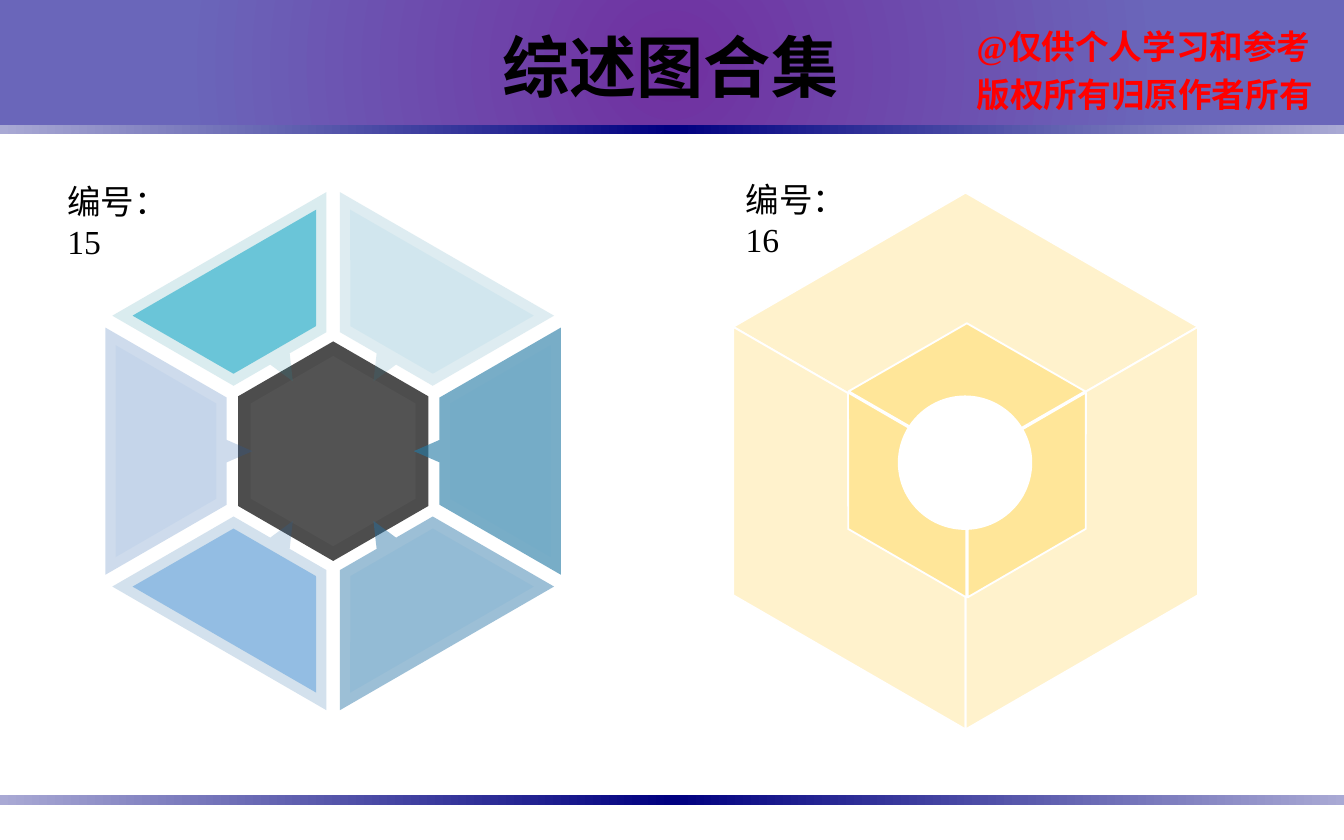
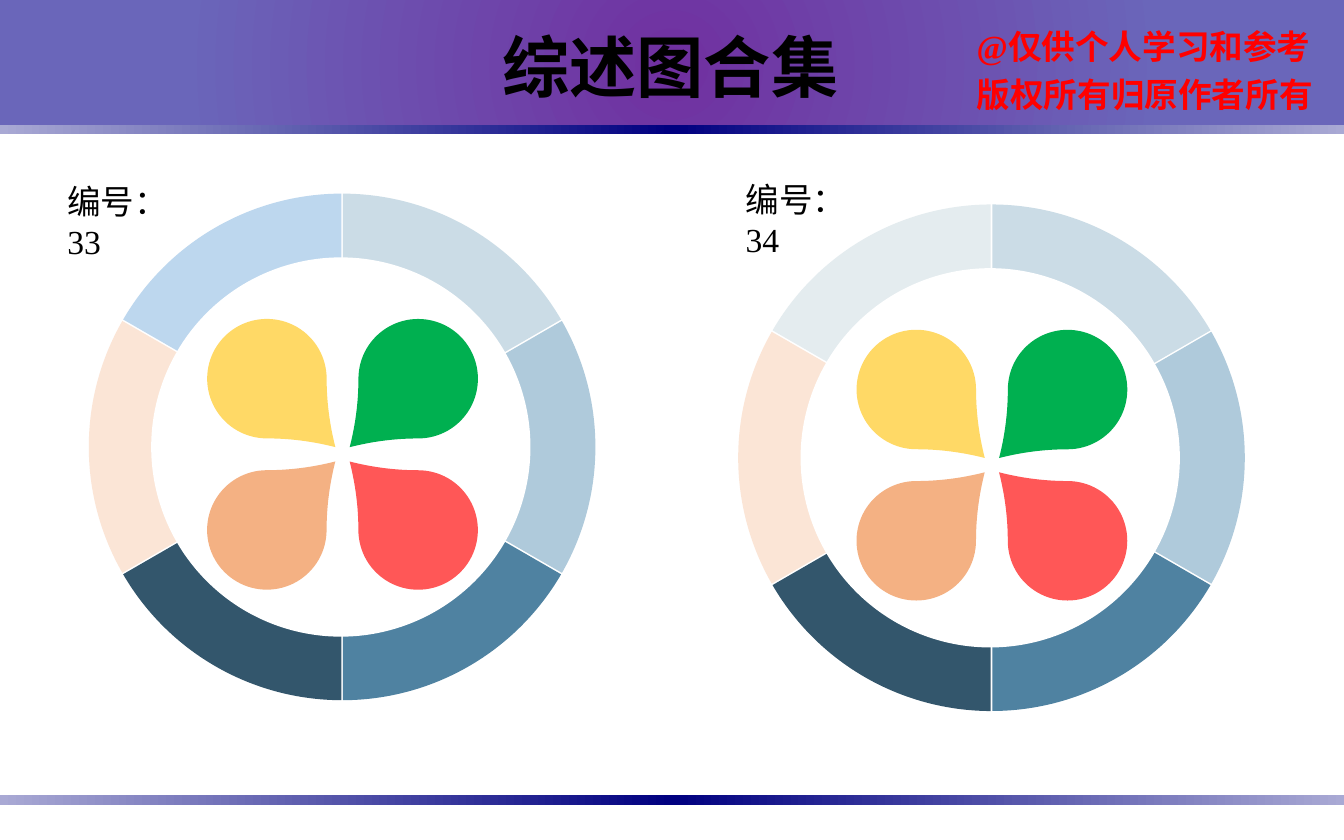
from dataclasses import dataclass
from math import asin, cos, degrees, radians, sin, tan

from lxml.etree import SubElement
from pptx import Presentation
from pptx.dml.color import RGBColor
from pptx.enum.shapes import MSO_SHAPE
from pptx.enum.text import MSO_AUTO_SIZE, PP_ALIGN
from pptx.oxml.ns import qn
from pptx.util import Pt


@dataclass(frozen=True)
class Theme:
    serif: str = "Times New Roman"
    sans: str = "Arial"
    title: int = 36
    body: int = 18
    black: str = "000000"
    white: str = "FFFFFF"
    red: str = "FF0000"
    head: tuple = ((0, "7030A0"), (73, "6A66BA"))
    band: tuple = ((0, "A9A9D4"), (50, "000080"), (100, "A9A9D4"))
    core: tuple = (("2B2B2B", 84), ("808080", 12))
    # Outer and inset colour with opacity, clockwise from the right
    panels: tuple = (
        (("267BA5", 62), ("3DA1D2", 4)),
        (("2572A5", 45), ("3B96D3", 9)),
        (("2369A7", 20), ("398BD5", 41)),
        (("225FA9", 22), ("3780D7", 6)),
        (("298FA4", 17), ("41B7D0", 73)),
        (("2885A3", 15), ("3FACD0", 8)),
    )
    cube: tuple = ("FFF2CC", "FFE699")
    ring: tuple = ("CBDCE6", "AFCADB", "4F82A1", "33566C", "FBE5D6")
    last: tuple = ("BDD7EE", "E4ECEF")
    petals: tuple = ("F4B183", "FFD966", "00B050", "FF5757")


@dataclass(frozen=True)
class Box:
    x: float
    y: float
    w: float
    h: float

    @property
    def mid(self):
        return self.x + self.w / 2, self.y + self.h / 2

    def emu(self):
        return [Pt(v) for v in (self.x, self.y, self.w, self.h)]


THEME = Theme()
PAGE = Box(0, 0, 720, 450)


def around(x, y, w, h):
    """Box of the given size centred on a point."""
    return Box(x - w / 2, y - h / 2, w, h)


def polar(r, angle):
    return r * cos(radians(angle)), r * sin(radians(angle))


def turn(points, angle):
    c, s = cos(radians(angle)), sin(radians(angle))
    return [(x * c - y * s, x * s + y * c) for x, y in points]


def finish(shape, edge=None):
    shape.shadow.inherit = False
    if edge:
        shape.line.color.rgb = RGBColor.from_string(edge)
        shape.line.width = Pt(1)
    else:
        shape.line.fill.background()


def paint(shape, color, alpha=100, edge=None):
    shape.fill.solid()
    shape.fill.fore_color.rgb = RGBColor.from_string(color)
    if alpha < 100:
        tone = shape.element.spPr.find(".//" + qn("a:srgbClr"))
        SubElement(tone, qn("a:alpha"), val=str(alpha * 1000))
    finish(shape, edge)


def blend(shape, stops, round_=False):
    """Fill with a gradient, from the centre outward if round_."""
    grad = SubElement(shape.element.spPr, qn("a:gradFill"), rotWithShape="1")
    items = SubElement(grad, qn("a:gsLst"))
    for pos, color in stops:
        stop = SubElement(items, qn("a:gs"), pos=str(pos * 1000))
        SubElement(stop, qn("a:srgbClr"), val=color)
    if round_:
        way = SubElement(grad, qn("a:path"), {"path": "circle"})
        SubElement(way, qn("a:fillToRect"), {k: "50000" for k in "ltrb"})
    else:
        SubElement(grad, qn("a:lin"), ang="0", scaled="1")
    finish(shape)


def preset(slide, kind, box, color, edge=None, angle=0):
    shape = slide.shapes.add_shape(kind, *box.emu())
    shape.rotation = angle
    paint(shape, color, edge=edge)
    return shape


def outline(slide, mid, points, color, alpha=100):
    """Closed shape from points given relative to mid."""
    spots = [(Pt(mid[0] + x), Pt(mid[1] + y)) for x, y in points]
    pen = slide.shapes.build_freeform(*spots[0], scale=1.0)
    pen.add_line_segments(spots[1:], close=True)
    shape = pen.convert_to_shape()
    paint(shape, color, alpha)
    return shape


def write(slide, box, lines, font, size, color, bold=False, wrap=False):
    """Text box; each line is its text, alignment and line spacing."""
    frame = slide.shapes.add_textbox(*box.emu()).text_frame
    frame.word_wrap = wrap
    frame.auto_size = MSO_AUTO_SIZE.NONE if wrap else MSO_AUTO_SIZE.SHAPE_TO_FIT_TEXT
    for i, (text, align, space) in enumerate(lines):
        para = frame.add_paragraph() if i else frame.paragraphs[0]
        para.alignment = align
        para.line_spacing = space
        run = para.add_run()
        run.text = text
        run.font.name = font
        run.font.size = Pt(size)
        run.font.bold = bold
        run.font.color.rgb = RGBColor.from_string(color)
    return frame


def base(slide, box):
    """Header, notice and the two bands."""
    head = Box(box.x, box.y - 0.6, box.w, 71)
    shape = slide.shapes.add_shape(MSO_SHAPE.RECTANGLE, *head.emu())
    blend(shape, THEME.head, True)
    notice = [("@仅供个人学习和参考", PP_ALIGN.LEFT, 1.2),
              ("版权所有归原作者所有", PP_ALIGN.CENTER, 1.2)]
    write(slide, Box(box.x + 516.2, box.y + 5.8, 198.7, 57), notice,
          THEME.serif, THEME.body, THEME.red, True)
    for y in (66.8, 426):
        band = Box(box.x, box.y + y, box.w, 5.2)
        shape = slide.shapes.add_shape(MSO_SHAPE.RECTANGLE, *band.emu())
        blend(shape, THEME.band)


def title(slide, box):
    write(slide, box, [("综述图合集", PP_ALIGN.LEFT, 1.0)],
          THEME.sans, THEME.title, THEME.black, True)


def label(slide, box, number):
    """Caption whose number falls on the second line."""
    frame = write(slide, box, [(f"编号：{number}", PP_ALIGN.LEFT, 1.0)],
                  THEME.serif, THEME.body, THEME.black, wrap=True)
    frame.margin_right = Pt(21)


def wheel(slide, box):
    """Dark hexagon with six panels around it."""
    for (color, alpha), size in zip(THEME.core, (58.8, 51)):
        hexagon = [polar(size, 60 * i - 90) for i in range(6)]
        outline(slide, box.mid, hexagon, color, alpha)
    outer = [(122, -66.2), (122, 66.2), (57, 28.7), (57, 6),
             (43.2, 0), (57, -6), (57, -28.7)]
    inset = [(116.6, -56.8), (116.6, 56.8), (62.6, 25.5), (62.6, -25.5)]
    for i, pair in enumerate(THEME.panels):
        for points, (color, alpha) in zip((outer, inset), pair):
            outline(slide, box.mid, turn(points, 60 * i), color, alpha)


def cube(slide, box):
    """Two nested cubes of three diamonds each, with a round hole."""
    x, y = box.mid
    high = box.w / 3 ** 0.5
    sizes = ((box.w, high, 0, high / 2), (126.7, 72.9, 0.7, 37))
    for color, (w, h, shift, reach) in zip(THEME.cube, sizes):
        for angle in (0, 60, 120):
            dx, dy = polar(reach, 270 - 2 * angle)
            spot = around(x + shift + dx, y - shift / 2 + dy, w, h)
            preset(slide, MSO_SHAPE.DIAMOND, spot, color, THEME.white, angle)
    preset(slide, MSO_SHAPE.OVAL, around(x - 0.3, y + 0.9, 72, 72), THEME.white)


def arc(r, start, end):
    """Points of two Bezier curves along a circle."""
    step = (end - start) / 2
    pull = 4 / 3 * tan(radians(step / 4))
    points = [polar(r, start)]
    for a in (start, start + step):
        (x, y), (u, v) = polar(r, a), polar(r, a + step)
        points += [(x - pull * y, y + pull * x), (u + pull * v, v - pull * u), (u, v)]
    return points


def wedge(r, hole, gap, start):
    """Sixth of a ring, with half of the gap on each side."""
    wide, deep = degrees(asin(gap / 2 / r)), degrees(asin(gap / 2 / hole))
    end = start + 60
    return arc(r, start + wide, end - wide) + arc(hole, end - deep, start + deep)


def bend(shape):
    """Turn the lines of a wedge into curves, all but the one between arcs."""
    trail = shape.element.spPr.find(".//" + qn("a:path"))
    lines = trail.findall(qn("a:lnTo"))
    for first in (0, 3, 7, 10):
        curve = SubElement(trail, qn("a:cubicBezTo"))
        lines[first].addprevious(curve)
        for line in lines[first:first + 3]:
            curve.append(line[0])
            trail.remove(line)


def sector(slide, mid, start, color):
    """Wedge drawn a sixth further on, then rotated back about its frame."""
    points = wedge(135.7, 17, 0.9, start + 60)
    cx, cy = [(min(axis) + max(axis)) / 2 for axis in zip(*points)]
    (x, y), = turn([(cx, cy)], -60)
    shape = outline(slide, (mid[0] + x - cx, mid[1] + y - cy), points, color)
    bend(shape)
    shape.rotation = 300


def flower(slide, box, last):
    """Ring of six colours around four petals."""
    x, y = box.mid
    for i, color in enumerate((*THEME.ring, last)):
        sector(slide, box.mid, 60 * i - 90, color)
    preset(slide, MSO_SHAPE.OVAL, around(x - 0.7, y + 0.1, 203.2, 203.2), THEME.white)
    for i, color in enumerate(THEME.petals):
        dx, dy = polar(57.3, 135 + 90 * i)
        petal = preset(slide, MSO_SHAPE.TEAR,
                       around(x + 0.2 + dx, y + 4 + dy, 64, 64),
                       color, angle=90 * i)
        petal.adjustments[0] = 1.146


def page(deck, figures):
    """Slide with a numbered figure on each side."""
    slide = deck.slides.add_slide(deck.slide_layouts[6])
    base(slide, PAGE)
    for draw, box, _, *extra in figures:
        draw(slide, box, *extra)
    spots = (Box(29, 93.4, 87, 29), Box(392.4, 92.2, 87, 29))
    for spot, figure in zip(spots, figures):
        label(slide, spot, figure[2])
    title(slide, Box(262, 10, 196.6, 51))


def main():
    deck = Presentation()
    deck.slide_width, deck.slide_height = Pt(PAGE.w), Pt(PAGE.h)
    page(deck, [(wheel, around(178.5, 241.7, 244, 278), 15),
                (cube, around(517.3, 247, 249, 288), 16)])
    left, right = THEME.last
    page(deck, [(flower, around(183.3, 239.4, 272, 272), 33, left),
                (flower, around(531.2, 245.2, 272, 272), 34, right)])
    deck.save("out.pptx")


if __name__ == "__main__":
    main()
